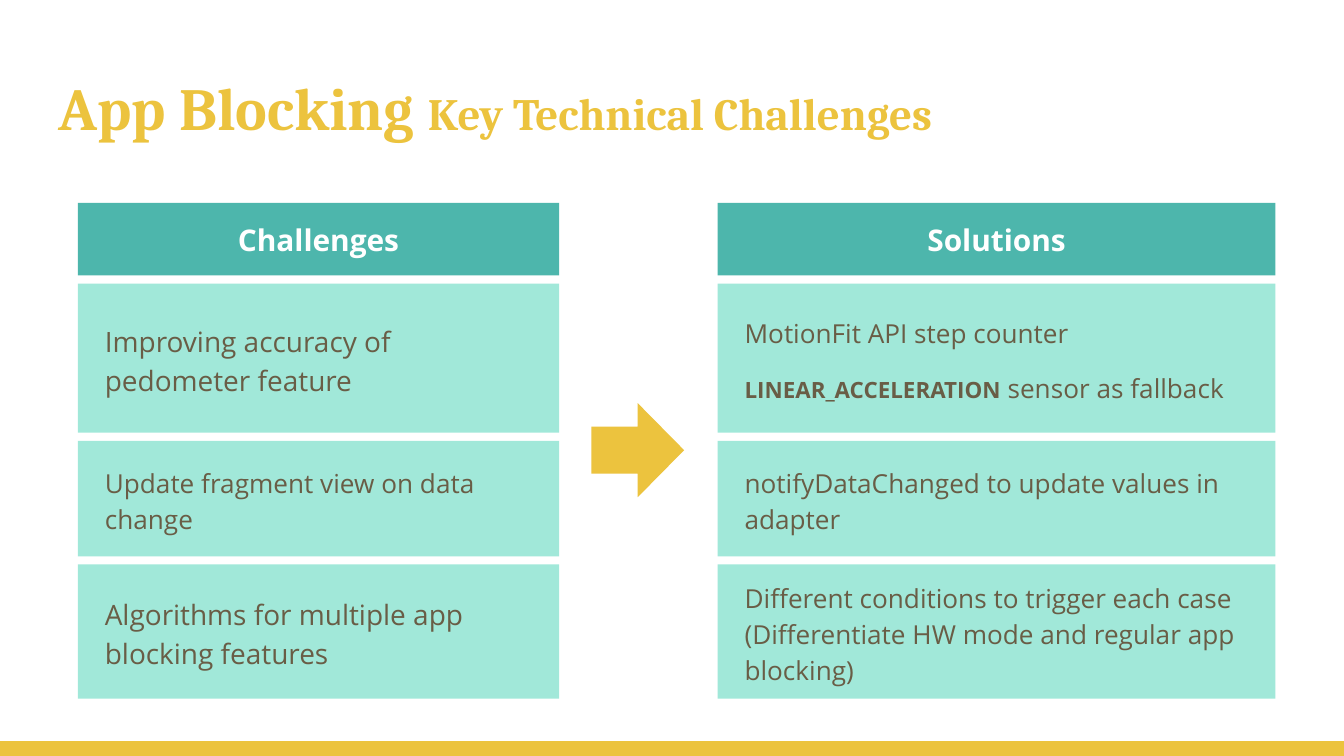
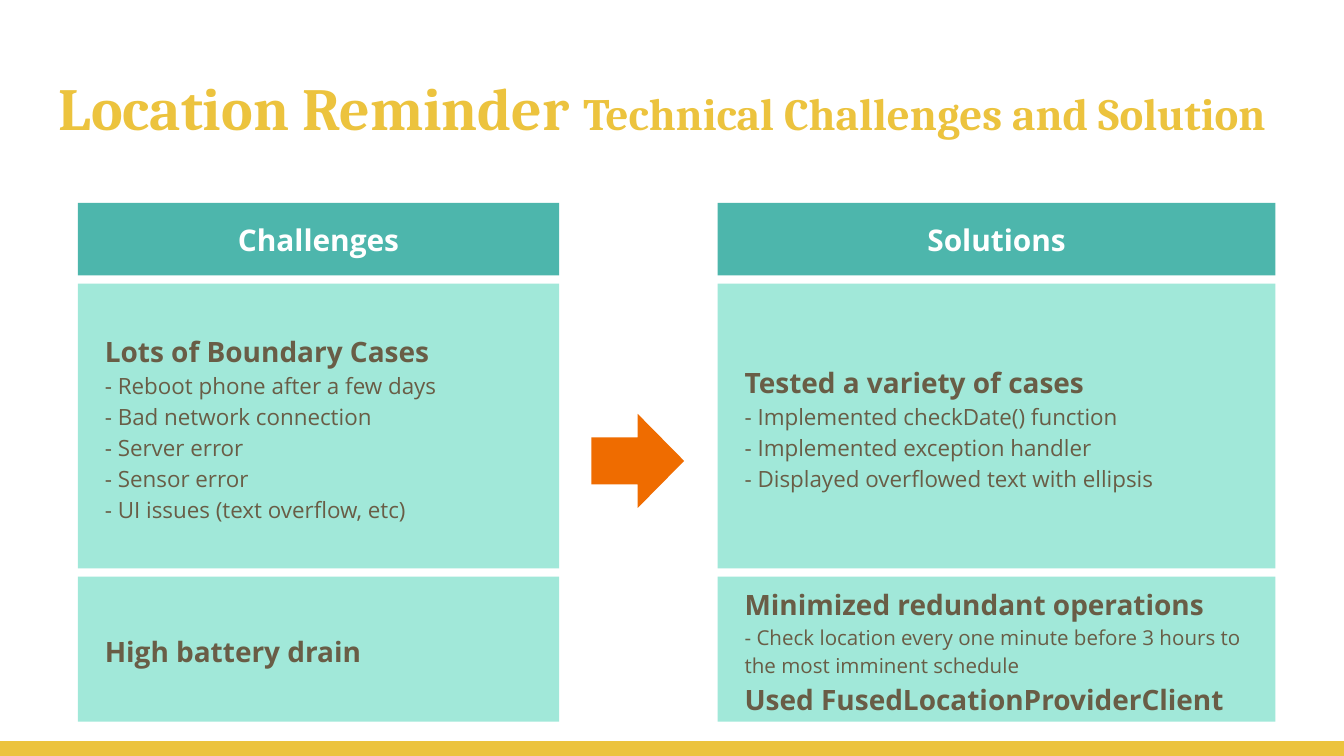
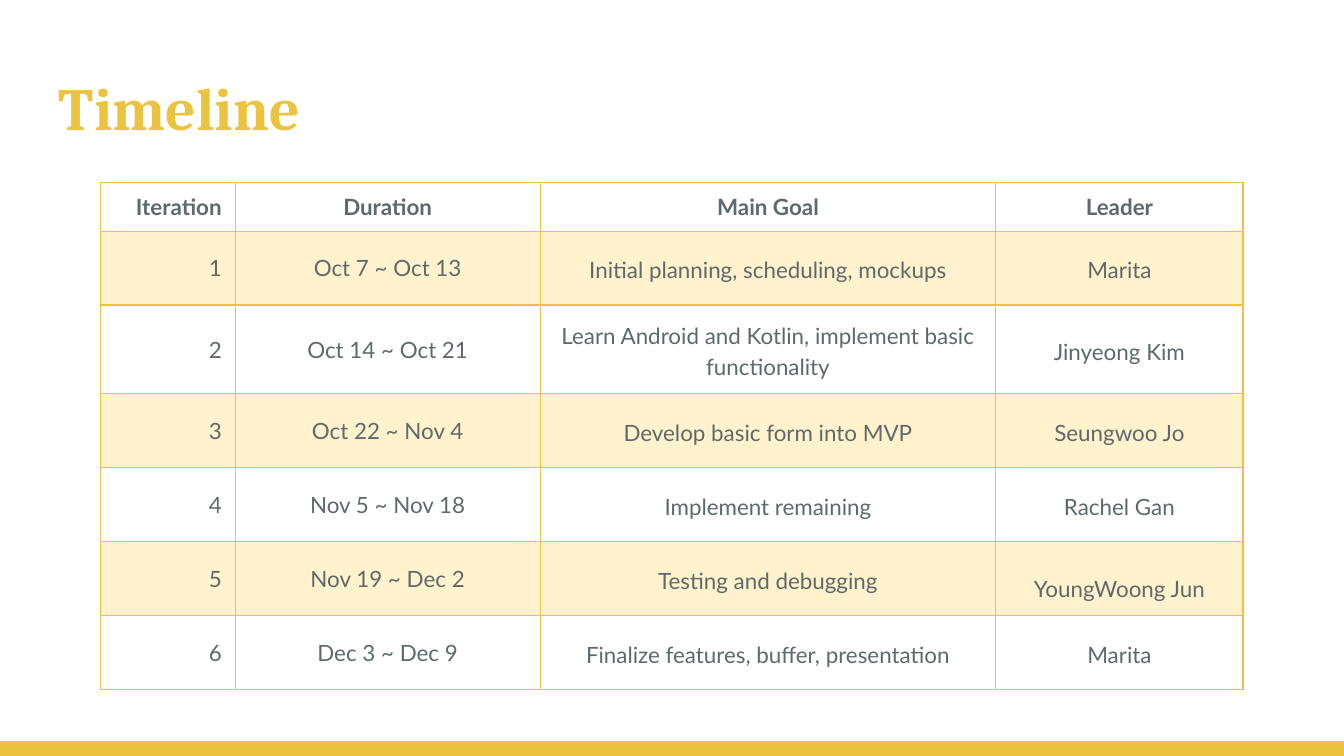
"""Build three project slides: two challenge and solution boards and a timeline."""
from lxml import etree
from pptx import Presentation
from pptx.dml.color import RGBColor
from pptx.enum import shapes, text
from pptx.oxml import ns
from pptx.util import Inches, Pt

GOLD = RGBColor(0xEC, 0xC3, 0x3E)
ORANGE = RGBColor(0xEF, 0x6C, 0x00)
TEAL = RGBColor(0x4D, 0xB6, 0xAC)
MINT = RGBColor(0xA1, 0xE8, 0xD9)
BROWN = RGBColor(0x69, 0x5D, 0x46)
SLATE = RGBColor(0x5E, 0x69, 0x6C)
CREAM = RGBColor(0xFF, 0xF2, 0xCC)
WHITE = RGBColor(0xFF, 0xFF, 0xFF)

TITLE_FONT, BOARD_FONT, TABLE_FONT = "Cambria", "Open Sans", "Lato"
SLIDE_W, BAR_H = 10, 0.11
SLIDE_H = SLIDE_W * 9 / 16
ROW_TOP, HEADER_H, ROW_GAP = 1.51, 0.54, 0.06
COLUMNS = [("Challenges", 0.58, 3.58, 0.2), ("Solutions", 5.34, 4.15, 0.1)]

BOARDS = [
    {
        "title": [("App Blocking ", 32, True), ("Key Technical Challenges", 24, True)],
        "title_w": 9.32,
        "arrow": (3, GOLD),
        "para_gap": 10,
        "rows": [
            (1.11,
             [[("Improving accuracy of pedometer feature", 15, False)]],
             [[("MotionFit API step counter", 14, False)],
              [("LINEAR_ACCELERATION", 12, True), (" sensor as fallback", 14, False)]]),
            (0.86,
             [[("Update fragment view on data change", 14, False)]],
             [[("notifyDataChanged to update values in adapter", 14, False)]]),
            (1,
             [[("Algorithms for multiple app blocking features", 15, False)]],
             [[("Different conditions to trigger each case "
                "(Differentiate HW mode and regular app blocking)", 14, False)]]),
        ],
    },
    {
        "title": [("Location Reminder ", 32, True),
                  ("Technical Challenges and Solution", 24, True)],
        "title_w": 9.61,
        "arrow": (3.08, ORANGE),
        "para_gap": 0,
        "rows": [
            (2.12,
             [[("Lots of Boundary Cases", 15, True)],
              [("- Reboot phone after a few days", 12, False)],
              [("- Bad network connection", 12, False)],
              [("- Server error", 12, False)],
              [("- Sensor error", 12, False)],
              [("- UI issues (text overflow, etc)", 12, False)]],
             [[("Tested a variety of cases", 15, True)],
              [("- Implemented checkDate() function", 12, False)],
              [("- Implemented exception handler", 12, False)],
              [("- Displayed overflowed text with ellipsis", 12, False)]]),
            (1.08,
             [[("High battery drain", 15, True)]],
             [[("Minimized redundant operations", 15, True)],
              [("- Check location every one minute before 3 hours to "
                "the most imminent schedule", 11, False)],
              [("Used FusedLocationProviderClient", 15, True)]]),
        ],
    },
]

TIMELINE = [
    ("Iteration", "Duration", "Main Goal", "Leader"),
    ("1", "Oct 7 ~ Oct 13", "Initial planning, scheduling, mockups", "Marita"),
    ("2", "Oct 14 ~ Oct 21", "Learn Android and Kotlin, implement basic functionality",
     "Jinyeong Kim"),
    ("3", "Oct 22 ~ Nov 4", "Develop basic form into MVP", "Seungwoo Jo"),
    ("4", "Nov 5 ~ Nov 18", "Implement remaining", "Rachel Gan"),
    ("5", "Nov 19 ~ Dec 2", "Testing and debugging", "YoungWoong Jun"),
    ("6", "Dec 3 ~ Dec 9", "Finalize features, buffer, presentation", "Marita"),
]
TIMELINE_COLS = [1, 2.27, 3.39, 1.84]
TIMELINE_HEAD_H, TIMELINE_ROW_H = 0.36, 0.55
BOTTOM_CELL = (5, 3)


def write(tf, paragraphs, font, color, align="LEFT", anchor="MIDDLE",
          insets=(0.1, 0.1, 0.1, 0.1), spacing=None, para_gap=0, cell=None):
    """Fill a text frame, or a cell's frame, with paragraphs of (text, size, bold) runs."""
    holder = tf if cell is None else cell
    holder.vertical_anchor = text.MSO_ANCHOR[anchor]
    holder.margin_left, holder.margin_top, holder.margin_right, holder.margin_bottom = map(
        Inches, insets)
    tf.word_wrap = True
    for i, runs in enumerate(paragraphs):
        p = tf.add_paragraph() if i else tf.paragraphs[0]
        p.alignment = text.PP_ALIGN[align]
        if spacing:
            p.line_spacing = spacing
        if i:
            p.space_before = Pt(para_gap)
        for words, size, bold in runs:
            r = p.add_run()
            r.text = words
            r.font.name, r.font.size, r.font.bold = font, Pt(size), bold
            r.font.color.rgb = color


def add_block(s, kind, left, top, width, height, fill):
    """Add a flat preset shape without outline or shadow."""
    sp = s.shapes.add_shape(shapes.MSO_SHAPE[kind], *map(Inches, (left, top, width, height)))
    sp.shadow.inherit = False
    sp.fill.solid()
    sp.fill.fore_color.rgb = fill
    sp.line.fill.background()
    return sp


def add_slide(prs, title, title_w=9.32):
    """Add a blank slide with the footer bar and the title."""
    s = prs.slides.add_slide(prs.slide_layouts[6])
    add_block(s, "RECTANGLE", 0, SLIDE_H - BAR_H, SLIDE_W, BAR_H, GOLD)
    box = s.shapes.add_textbox(*map(Inches, (0.34, 0.43, title_w, 0.68)))
    write(box.text_frame, [title], TITLE_FONT, GOLD, anchor="TOP")
    return s


def add_board(prs, board):
    """Add a slide that sets challenges against solutions."""
    s = add_slide(prs, board["title"], board["title_w"])
    for col, (heading, left, width, right_inset) in enumerate(COLUMNS):
        sp = add_block(s, "RECTANGLE", left, ROW_TOP, width, HEADER_H, TEAL)
        write(sp.text_frame, [[(heading, 16, True)]], BOARD_FONT, WHITE, align="CENTER")
        top = ROW_TOP + HEADER_H + ROW_GAP
        for height, *cells in board["rows"]:
            sp = add_block(s, "RECTANGLE", left, top, width, height, MINT)
            write(sp.text_frame, cells[col], BOARD_FONT, BROWN, spacing=1.15,
                  insets=(0.2, 0.1, right_inset, 0.1), para_gap=board["para_gap"])
            top += height + ROW_GAP
    arrow_top, arrow_color = board["arrow"]
    add_block(s, "RIGHT_ARROW", 4.4, arrow_top, 0.69, 0.7, arrow_color)


def set_borders(cell, color, width):
    """Draw all four borders of a table cell."""
    tc_pr = cell._tc.get_or_add_tcPr()
    for i, side in enumerate(("lnL", "lnR", "lnT", "lnB")):
        ln = etree.Element(ns.qn(f"a:{side}"), w=str(Pt(width)))
        fill = etree.SubElement(ln, ns.qn("a:solidFill"))
        etree.SubElement(fill, ns.qn("a:srgbClr"), val=str(color))
        tc_pr.insert(i, ln)


def add_timeline(prs):
    """Add the slide with the timeline table."""
    s = add_slide(prs, [("Timeline", 32, True)])
    heights = [TIMELINE_HEAD_H] + [TIMELINE_ROW_H] * (len(TIMELINE) - 1)
    table = s.shapes.add_table(
        len(TIMELINE), len(TIMELINE_COLS),
        *map(Inches, (0.75, 1.36, sum(TIMELINE_COLS), sum(heights)))).table
    table.first_row = table.horz_banding = False
    for column, width in zip(table.columns, TIMELINE_COLS):
        column.width = Inches(width)
    for i, (row, height) in enumerate(zip(TIMELINE, heights)):
        table.rows[i].height = Inches(height)
        for j, words in enumerate(row):
            cell = table.cell(i, j)
            roomy = i > 0 and j > 1
            write(cell.text_frame, [[(words, 12, i == 0)]], TABLE_FONT, SLATE, cell=cell,
                  align="CENTER" if j else "RIGHT",
                  anchor="BOTTOM" if (i, j) == BOTTOM_CELL else "MIDDLE",
                  insets=(0.03, 0.1, 0.03, 0.1) if roomy else (0.1, 0.07, 0.1, 0.07),
                  spacing=1.15 if roomy else None)
            cell.fill.solid()
            cell.fill.fore_color.rgb = CREAM if i % 2 else WHITE
            set_borders(cell, GOLD, 0.75)


def main():
    """Build and save the slides."""
    prs = Presentation()
    prs.slide_width, prs.slide_height = Inches(SLIDE_W), Inches(SLIDE_H)
    for board in BOARDS:
        add_board(prs, board)
    add_timeline(prs)
    prs.save("out.pptx")


if __name__ == "__main__":
    main()
